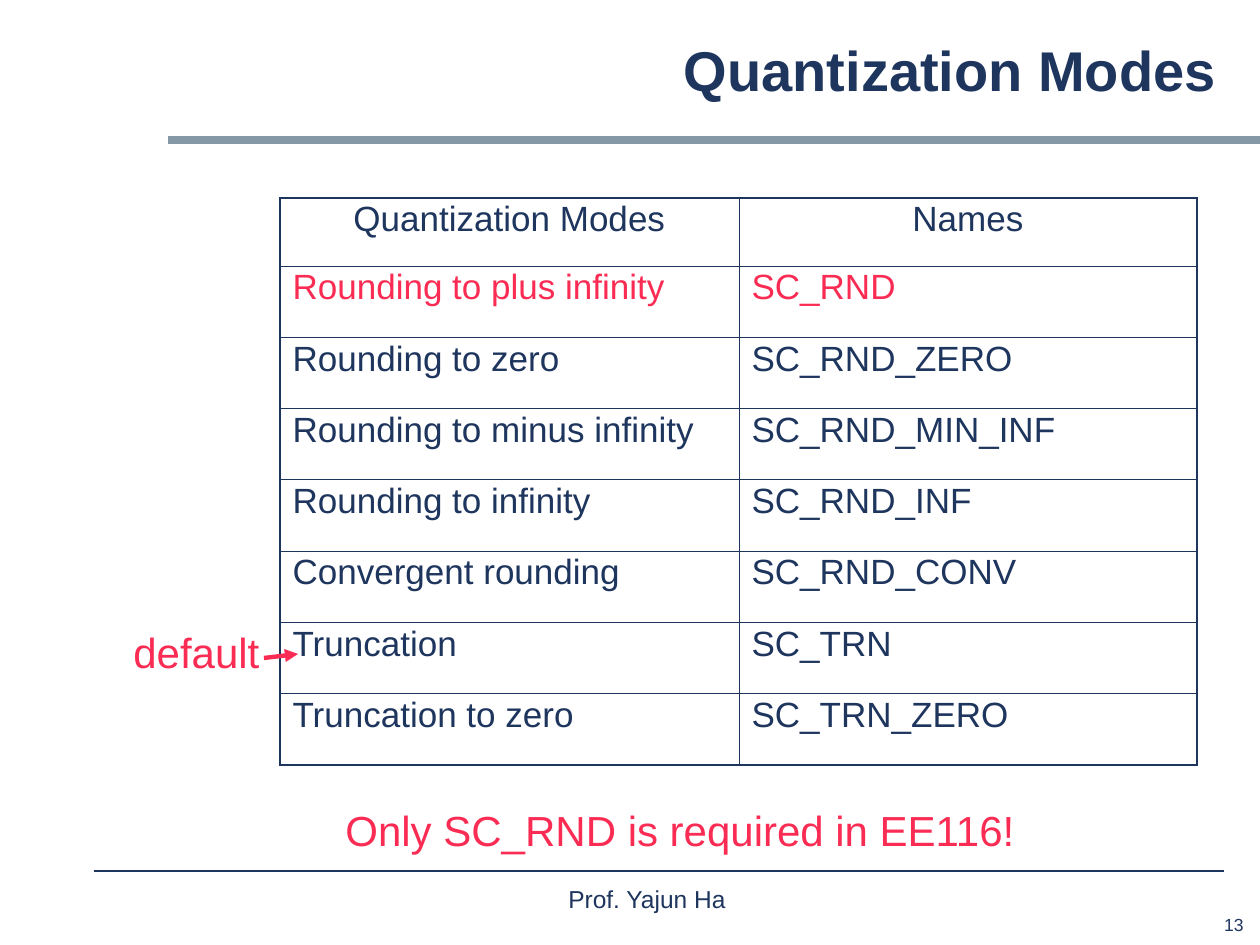
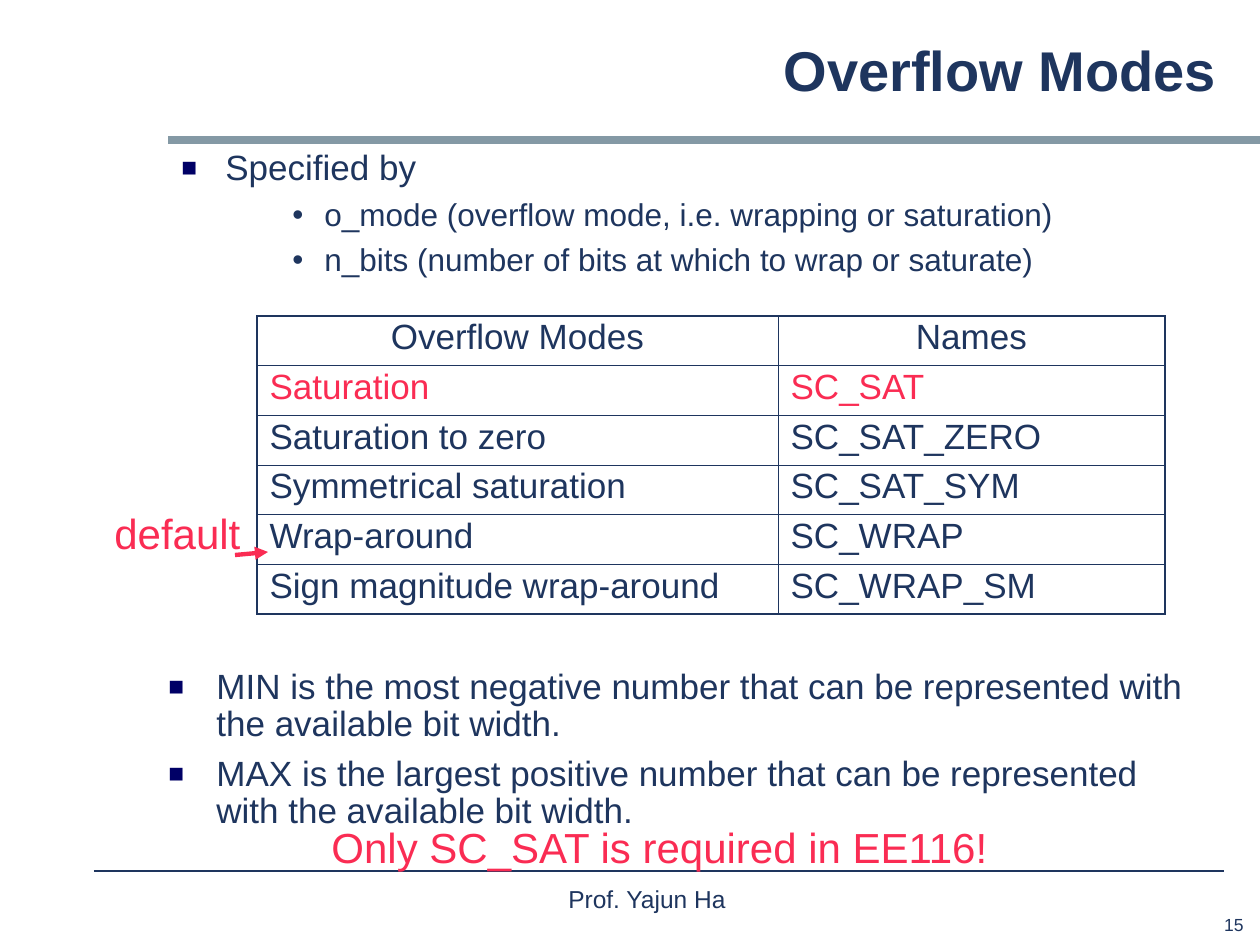
from dataclasses import dataclass

from lxml.etree import SubElement
from pptx import Presentation
from pptx.dml.color import RGBColor as RGB
from pptx.enum.shapes import MSO_CONNECTOR as CONN, MSO_SHAPE as SHAPE
from pptx.enum.text import MSO_ANCHOR as ANCHOR, PP_ALIGN as ALIGN
from pptx.oxml.ns import qn
from pptx.util import Emu, Pt


@dataclass(frozen=True)
class Theme:
    font: str = "Arial"
    navy: str = "1E355E"
    red: str = "FA2C53"
    band: str = "8499A5"
    bullet: str = "000066"
    title: int = 32
    callout: int = 24
    body: int = 20
    sub: int = 18
    footer: int = 14
    number: int = 10
    spacing: float = 0.88
    outer: float = 1.08
    inner: float = 0.45


T = Theme()
PX_PER_INCH = 126

# Bullet levels: text margin and hanging indent in px, then the look
SQUARE = dict(margin=59, hang=44, char="■", color=T.bullet, scale=75)
WIDE_SQUARE = dict(SQUARE, margin=48, hang=48)
DOT = dict(margin=158, hang=32, char="•", color=T.navy, scale=100)


def px(n):
    return Emu(round(n * 914400 / PX_PER_INCH))


def box_px(*lengths):
    return [px(n) for n in lengths]


def set_all(obj, values):
    for name, value in values.items():
        setattr(obj, name, value)


# --- Text ---
def set_bullet(p, bullet):
    pPr = p._p.get_or_add_pPr()
    pPr.set("marL", str(px(bullet["margin"])))
    pPr.set("indent", str(-px(bullet["hang"])))
    color = SubElement(pPr, qn("a:buClr"))
    SubElement(color, qn("a:srgbClr"), val=bullet["color"])
    SubElement(pPr, qn("a:buSzPct"), val=str(bullet["scale"] * 1000))
    SubElement(pPr, qn("a:buFont"), typeface=T.font)
    SubElement(pPr, qn("a:buChar"), char=bullet["char"])


def write(p, text, size, color=T.navy, bold=False, **fmt):
    set_all(p, fmt)
    r = p.add_run()
    r.text = text
    set_all(r.font, dict(name=T.font, size=Pt(size), bold=bold))
    r.font.color.rgb = RGB.from_string(color)


def add_text(s, at, text, size, wrap=False, anchor=ANCHOR.TOP, **fmt):
    tf = s.shapes.add_textbox(*box_px(*at)).text_frame
    set_all(tf, dict(word_wrap=wrap, vertical_anchor=anchor))
    write(tf.paragraphs[0], text, size, **fmt)


def add_bullets(s, at, items):
    tf = s.shapes.add_textbox(*box_px(*at)).text_frame
    tf.word_wrap = True
    for i, (text, size, bullet) in enumerate(items):
        p = tf.add_paragraph() if i else tf.paragraphs[0]
        set_bullet(p, bullet)
        fmt = dict(space_before=Pt(size * 0.375)) if i else {}
        write(p, text, size, line_spacing=T.spacing, **fmt)


def add_callout(s, at, text):
    add_text(s, at, text, T.callout, color=T.red, line_spacing=T.spacing)


# --- Lines ---
def add_line(s, ends, color, width, arrow=False):
    sp = s.shapes.add_connector(CONN.STRAIGHT, *box_px(*ends))
    sp.line.color.rgb = RGB.from_string(color)
    sp.line.width = Pt(width)
    if arrow:
        SubElement(sp.line._get_or_add_ln(), qn("a:tailEnd"), type="triangle")
    SubElement(sp._element.spPr, qn("a:effectLst"))


# --- Table ---
def set_borders(cell, outer_sides):
    tcPr = cell._tc.get_or_add_tcPr()
    for side, is_outer in zip("LRTB", outer_sides):
        width = Pt(T.outer if is_outer else T.inner)
        ln = SubElement(tcPr, qn(f"a:ln{side}"), w=str(width))
        fill = SubElement(ln, qn("a:solidFill"))
        SubElement(fill, qn("a:srgbClr"), val=T.navy)


def add_mode_table(s, at, col_widths, row_heights, rows):
    """First row is the heading; the second is the required mode, in red."""
    tb = s.shapes.add_table(len(rows), 2, *box_px(*at)).table
    set_all(tb, dict(first_row=False, horz_banding=False))
    for col, width in zip(tb.columns, col_widths):
        col.width = px(width)
    last = len(rows) - 1
    for i, texts in enumerate(rows):
        tb.rows[i].height = px(row_heights[i])
        for j, text in enumerate(texts):
            cell = tb.cell(i, j)
            set_borders(cell, (j == 0, j == 1, i == 0, i == last))
            cell.fill.background()
            write(cell.text_frame.paragraphs[0], text, T.body,
                  color=T.red if i == 1 else T.navy,
                  alignment=ALIGN.LEFT if i else ALIGN.CENTER,
                  line_spacing=T.spacing)


# --- Shared frame: band, title, footer ---
def add_frame_slide(prs, title, number):
    s = prs.slides.add_slide(prs.slide_layouts[6])
    sp = s.shapes.add_shape(SHAPE.RECTANGLE, *box_px(168, 136, 1092, 8))
    sp.shadow.inherit = False
    sp.fill.solid()
    sp.fill.fore_color.rgb = RGB.from_string(T.band)
    sp.line.fill.background()
    add_line(s, (94, 871, 1224, 871), T.navy, 0.75)
    add_text(s, (1174, 908, 82, 33), number, T.number, alignment=ALIGN.RIGHT)
    add_text(s, (168, 21, 1061, 105), title, T.title, wrap=True, bold=True,
             anchor=ANCHOR.MIDDLE, alignment=ALIGN.RIGHT,
             line_spacing=T.spacing)
    add_text(s, (435, 878, 431, 53), "Prof. Yajun Ha ", T.footer,
             alignment=ALIGN.CENTER)
    return s


def add_quantization_slide(prs):
    s = add_frame_slide(prs, "Quantization Modes", "13")
    rows = [
        ("Quantization Modes", "Names"),
        ("Rounding to plus infinity", "SC_RND"),
        ("Rounding to zero", "SC_RND_ZERO"),
        ("Rounding to minus infinity", "SC_RND_MIN_INF"),
        ("Rounding to infinity", "SC_RND_INF"),
        ("Convergent rounding", "SC_RND_CONV"),
        ("Truncation", "SC_TRN"),
        ("Truncation to zero", "SC_TRN_ZERO"),
    ]
    height, head = 567, 68
    modes = len(rows) - 1
    heights = [head] + [(height - head) / modes] * modes
    add_mode_table(s, (280, 198, 917, height), (459, 458), heights, rows)
    add_callout(s, (121, 627, 151, 57), "default")
    add_line(s, (264, 658, 298, 654), T.red, 2.5, arrow=True)
    add_callout(s, (333, 805, 697, 57), "Only SC_RND is required in EE116!")


def add_overflow_slide(prs):
    s = add_frame_slide(prs, "Overflow Modes", "15")
    add_bullets(s, (154, 145, 1021, 190), [
        ("Specified by", T.body, SQUARE),
        ("o_mode (overflow mode, i.e. wrapping or saturation)", T.sub, DOT),
        ("n_bits (number of bits at which to wrap or saturate)", T.sub, DOT),
    ])
    add_bullets(s, (156, 664, 1061, 218), [
        ("MIN is the most negative number that can be represented with "
         "the available bit width.", T.body, WIDE_SQUARE),
        ("MAX is the largest positive number that can be represented with "
         "the available bit width.", T.body, WIDE_SQUARE),
    ])
    rows = [
        ("Overflow Modes", "Names"),
        ("Saturation", "SC_SAT"),
        ("Saturation to zero", "SC_SAT_ZERO"),
        ("Symmetrical saturation", "SC_SAT_SYM"),
        ("Wrap-around", "SC_WRAP"),
        ("Sign magnitude wrap-around", "SC_WRAP_SM"),
    ]
    height = 298
    heights = [height / len(rows)] * len(rows)
    add_mode_table(s, (257, 316, 908, height), (521, 387), heights, rows)
    add_callout(s, (102, 508, 151, 57), "default")
    add_line(s, (235, 555, 268, 552), T.red, 2.5, arrow=True)
    add_callout(s, (319, 822, 688, 57), "Only SC_SAT is required in EE116!")


def main():
    prs = Presentation()
    set_all(prs, dict(slide_width=px(1260), slide_height=px(945)))
    add_quantization_slide(prs)
    add_overflow_slide(prs)
    prs.save("out.pptx")


if __name__ == "__main__":
    main()
